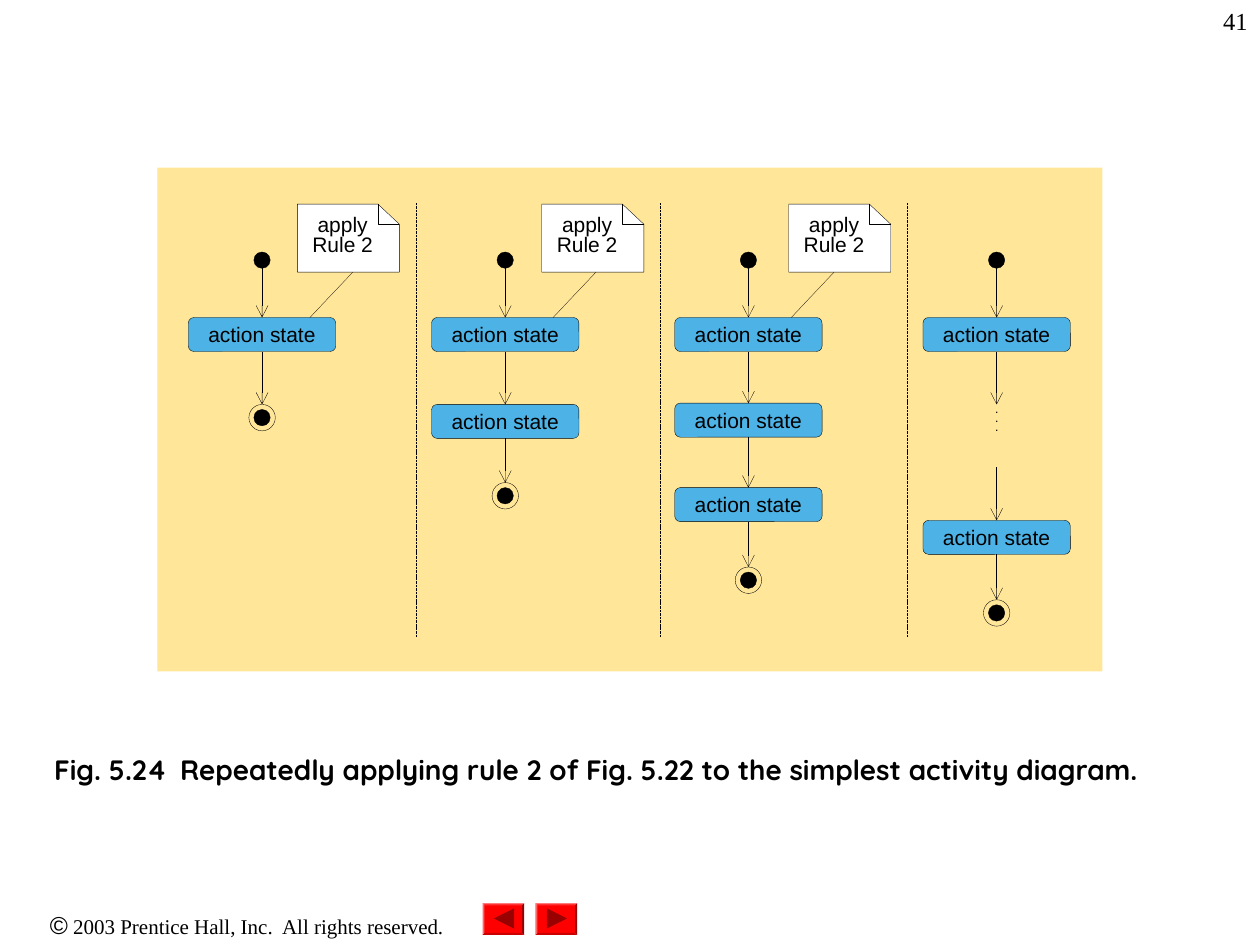
from lxml import etree
from pptx import Presentation
from pptx.dml.color import RGBColor
from pptx.enum.dml import MSO_LINE
from pptx.enum.shapes import MSO_CONNECTOR, MSO_SHAPE as SHAPE
from pptx.enum.text import MSO_ANCHOR, MSO_AUTO_SIZE, PP_ALIGN as ALIGN
from pptx.oxml.ns import qn
from pptx.util import Inches, Pt

rgb = RGBColor.from_string
BLACK = "000000"


def paint(s, fill=None, line=None):
    s.shadow.inherit = False
    if fill:
        s.fill.solid()
        s.fill.fore_color.rgb = rgb(fill)
    else:
        s.fill.background()
    if line:
        s.line.color.rgb = rgb(line)
        s.line.width = Pt(0.2)
    else:
        s.line.fill.background()


def add_run(p, text, size, name="Arial", bold=False):
    r = p.add_run()
    r.text = text
    r.font.size = Pt(size)
    r.font.name = name
    r.font.bold = bold
    r.font.color.rgb = rgb(BLACK)


prs = Presentation()
prs.slide_width, prs.slide_height = Inches(10), Inches(7.5)
slide = prs.slides.add_slide(prs.slide_layouts[5])
shapes = slide.shapes

# Caption in the title placeholder, with a tab after the figure number
title = shapes.title
title.left, title.top = Inches(0.33), Inches(5.92)
title.width, title.height = Inches(9), Inches(0.37)
tf = title.text_frame
tf.auto_size = MSO_AUTO_SIZE.NONE
tf.vertical_anchor = MSO_ANCHOR.TOP
p = tf.paragraphs[0]
p.alignment = ALIGN.LEFT
tabs = etree.SubElement(p._p.get_or_add_pPr(), qn("a:tabLst"))
etree.SubElement(tabs, qn("a:tab"), pos=str(Inches(1)), algn="l")
add_run(p, "Fig. 5.24\tRepeatedly applying rule 2 of Fig. 5.22 "
        "to the simplest activity diagram.", 16, "Quicksand", True)

# Diagram background
s = shapes.add_shape(SHAPE.RECTANGLE, Inches(1.25), Inches(1.33), Inches(7.5), Inches(4))
paint(s, "FFE699")

# Text boxes: left, top, width, height, alignment, line spacing, inset, paragraphs of runs
text_boxes = [
    (0, 7.17, 3.92, 0.34, ALIGN.CENTER, 1, True,
     [[("©", 14, "Arial"),
       (" 2003 Prentice Hall, Inc.  All rights reserved.", 12, "Times New Roman")]]),
    (7.92, 0, 2.08, 0.5, ALIGN.RIGHT, 1, True, [[("41", 14, "Times New Roman")]]),
    (7.82, 3.22, 0.18, 0.54, ALIGN.CENTER, 0.64, False, [[(".", 7, "Arial")]] * 3),
]

# Lines: x1, y1, x2, y2, dash, arrowhead, shape at start, shape at end
lines = []

# Columns: centre x, tops of the action states, top of the final state
BOX_W, BOX_H = 1.17, 0.27
START_BOTTOM = 2.12
columns = [
    (2.08, [2.52], 3.21),
    (4.01, [2.52, 3.21], 3.83),
    (5.94, [2.52, 3.20, 3.87], 4.50),
    (7.91, [2.52, 4.13], 4.76),
]
for x, tops, final_top in columns:
    # Start dot, final ring and final dot
    for top, size, fill in [(2, 0.13, BLACK), (final_top, 0.21, None),
                            (final_top + 0.04, 0.13, BLACK)]:
        s = shapes.add_shape(SHAPE.OVAL, Inches(x - size / 2), Inches(top),
                             Inches(size), Inches(size))
        paint(s, fill, BLACK)
        if not fill:
            ring = s

    # Action states, each with an arrow from the step above
    above, y = None, START_BOTTOM
    for top in tops:
        box = shapes.add_shape(SHAPE.ROUNDED_RECTANGLE, Inches(x - BOX_W / 2), Inches(top),
                               Inches(BOX_W), Inches(BOX_H))
        paint(box, "4DB3E6", BLACK)
        tf = box.text_frame
        tf.margin_left = tf.margin_right = tf.margin_top = tf.margin_bottom = 0
        tf.vertical_anchor = MSO_ANCHOR.MIDDLE
        tf.paragraphs[0].alignment = ALIGN.CENTER
        add_run(tf.paragraphs[0], "action state", 12)
        if top - y > 1:  # steps left out between two states
            lines.append((x, y, x, y + 0.42, None, True, above, None))
            lines.append((x, top - 0.42, x, top, None, True, None, box))
        else:
            lines.append((x, y, x, top, None, True, above, box))
        above, y = box, top + BOX_H
    lines.append((x, y, x, final_top, None, True, above, ring))

# Notes with a folded corner, a dotted leader and a divider to the right
NOTE_TOP, NOTE_W, NOTE_H = 1.62, 0.81, 0.54
for x, leader_x in [(2.36, 2.46), (4.30, 4.39), (6.26, 6.28)]:
    right, bottom, fold_x, fold_y = x + NOTE_W, NOTE_TOP + NOTE_H, x + 0.64, NOTE_TOP + 0.16
    outline = [(fold_x, NOTE_TOP), (right, fold_y), (right, bottom), (x, bottom), (x, NOTE_TOP)]
    fold = [(right, fold_y), (fold_x, fold_y), (fold_x, NOTE_TOP)]
    for points, closed, fill in [(outline, True, "FFFFFF"), (fold, False, None)]:
        points = [(Inches(px), Inches(py)) for px, py in points]
        builder = shapes.build_freeform(*points[0])
        builder.add_line_segments(points[1:], close=closed)
        paint(builder.convert_to_shape(), fill, BLACK)
    text_boxes.append((x + 0.04, 1.72, 0.64, 0.41, ALIGN.CENTER, 0.8, False,
                       [[("apply Rule 2", 12, "Arial")]]))
    lines.append((leader_x, 2.52, leader_x + 0.34, bottom, MSO_LINE.ROUND_DOT, False, None, None))
    lines.append((x + 0.94, 1.61, x + 0.94, 5.05, MSO_LINE.SQUARE_DOT, False, None, None))

# Draw the lines and arrows
for x1, y1, x2, y2, dash, arrow, start, end in lines:
    s = shapes.add_connector(MSO_CONNECTOR.STRAIGHT, Inches(x1), Inches(y1),
                             Inches(x2), Inches(y2))
    if start:
        s.begin_connect(start, 2)
    if end:
        s.end_connect(end, 0)
    s.line.color.rgb = rgb(BLACK)
    s.line.width = Pt(0.2)
    if dash:
        s.line.dash_style = dash
    if arrow:
        etree.SubElement(s.line._get_or_add_ln(), qn("a:tailEnd"), type="arrow")
    etree.SubElement(s._element.spPr, qn("a:effectLst"))

# Write the text boxes
for x, y, w, h, align, spacing, inset, paragraphs in text_boxes:
    tf = shapes.add_textbox(Inches(x), Inches(y), Inches(w), Inches(h)).text_frame
    tf.word_wrap = True
    if not inset:
        tf.margin_left = tf.margin_right = tf.margin_top = tf.margin_bottom = 0
    for i, runs in enumerate(paragraphs):
        p = tf.add_paragraph() if i else tf.paragraphs[0]
        p.alignment = align
        p.line_spacing = spacing
        for text, size, name in runs:
            add_run(p, text, size, name)

# Back and forward buttons
for x, angle in [(3.83, 270), (4.25, 90)]:
    s = shapes.add_shape(SHAPE.BEVEL, Inches(x), Inches(7.17), Inches(0.33), Inches(0.25))
    s.adjustments[0] = 0.06
    paint(s, "FF0000")
    s = shapes.add_shape(SHAPE.ISOSCELES_TRIANGLE, Inches(x + 0.09), Inches(7.21),
                         Inches(0.16), Inches(0.16))
    s.rotation = angle
    paint(s, "990000")

prs.save("out.pptx")
